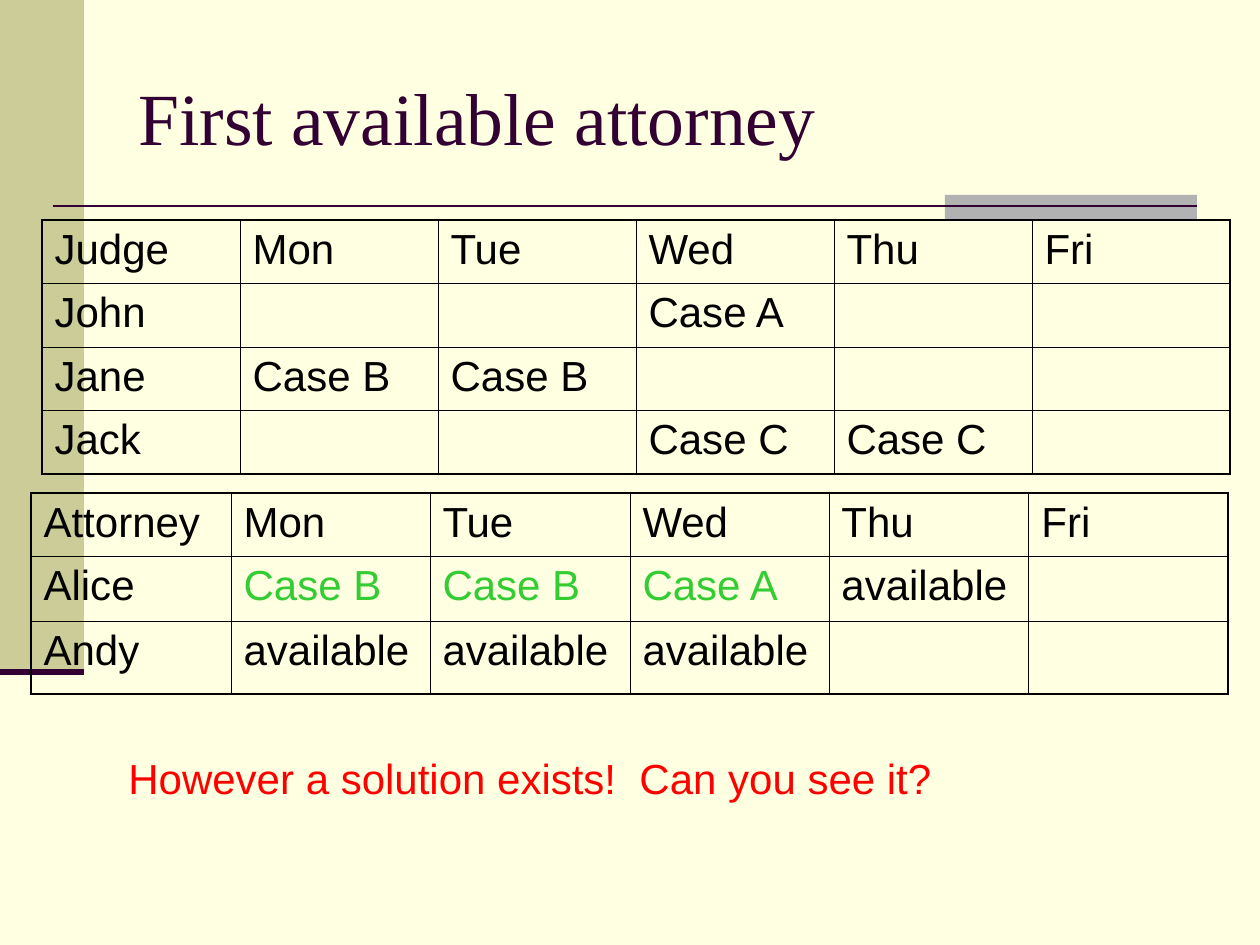
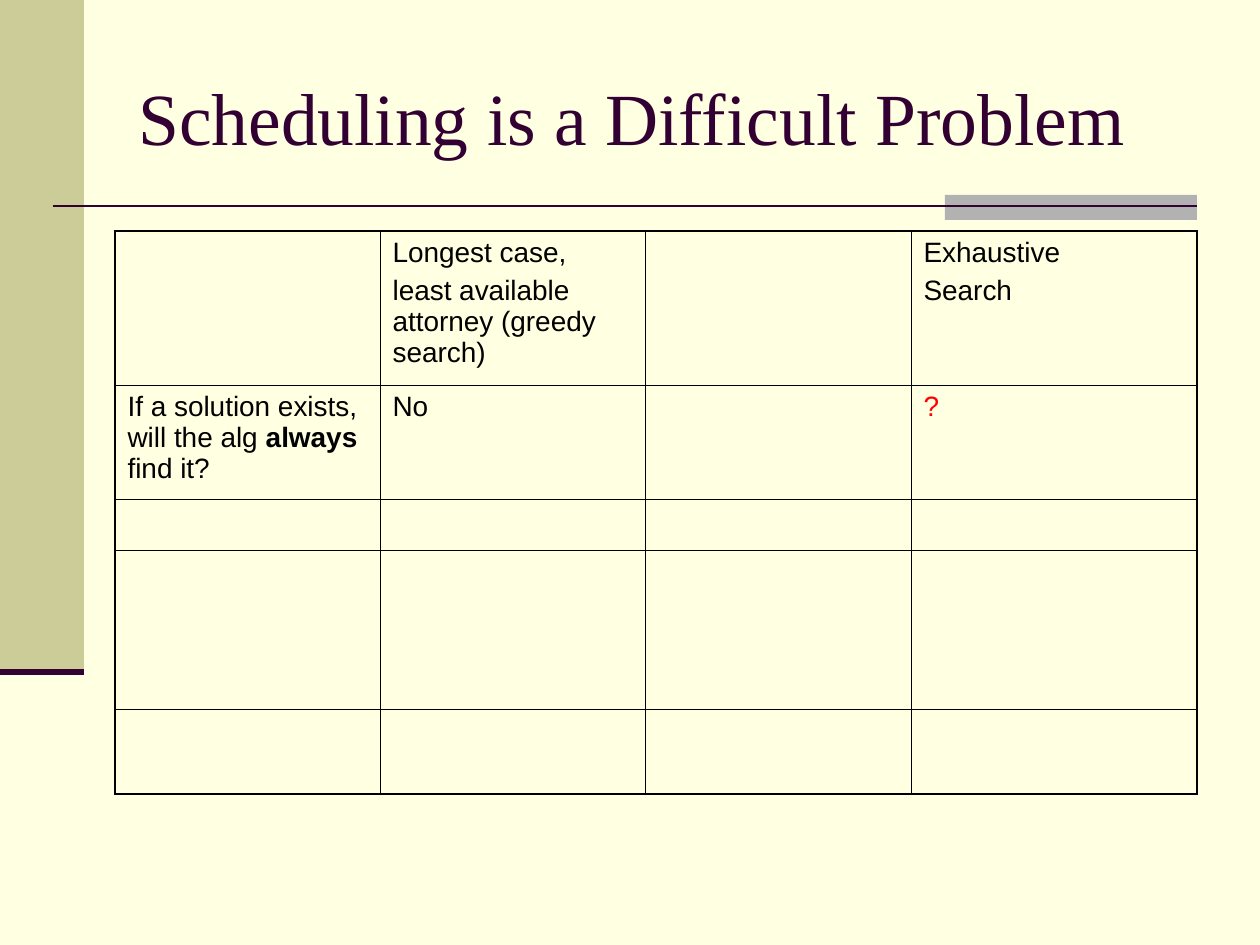
from lxml.etree import SubElement
from pptx import Presentation
from pptx.dml.color import RGBColor
from pptx.enum.shapes import MSO_CONNECTOR, MSO_SHAPE
from pptx.enum.text import MSO_ANCHOR
from pptx.oxml.ns import qn
from pptx.util import Pt

PLUM, OLIVE, GREY, CREAM = "330033", "CCCC99", "B2B2B2", "FFFFE1"
BLACK, GREEN, RED = "000000", "33CC33", "FF0000"
rgb = RGBColor.from_string


def px(length):
    return round(length * 914400 / 126)


def write(frame, text, size, color, font="Arial"):
    frame.word_wrap = True
    for index, line in enumerate(text.split("\n")):
        paragraph = frame.add_paragraph() if index else frame.paragraphs[0]
        paragraph.space_before = Pt(4 if index else 0)
        paragraph.font.name = font
        paragraph.font.size = Pt(size)
        paragraph.font.color.rgb = rgb(color)
        for position, part in enumerate(line.split("*")):
            if part:
                run = paragraph.add_run()
                run.text = part
                if position % 2:
                    run.font.bold = True


days = ["Mon", "Tue", "Wed", "Thu", "Fri"]
judges = dict(
    at=(42, 220), columns=[198] * 6, heights=[63, 64] * 2, size=24, colors={},
    rows=[
        ["Judge", *days],
        ["John", "", "", "Case A", "", ""],
        ["Jane", "Case B", "Case B", "", "", ""],
        ["Jack", "", "", "Case C", "Case C", ""],
    ],
)
attorneys = dict(
    at=(31, 493), columns=[200, 199] * 3, heights=[63, 65, 73], size=24,
    colors={(1, 1): GREEN, (1, 2): GREEN, (1, 3): GREEN},
    rows=[
        ["Attorney", *days],
        ["Alice", "Case B", "Case B", "Case A", "available", ""],
        ["Andy", "available", "available", "available", "", ""],
    ],
)
algorithms = dict(
    at=(115, 231), columns=[265, 265, 266, 286], heights=[154, 114, 51, 159, 85],
    size=16, colors={(1, 3): RED},
    rows=[
        ["", "Longest case,\nleast available attorney (greedy search)", "",
         "Exhaustive\nSearch"],
        ["If a solution exists, will the alg *always* find it?", "No", "", "?"],
        *[[""] * 4] * 3,
    ],
)
pages = [
    ("First available attorney", [judges, attorneys],
     "However a solution exists!  Can you see it?"),
    ("Scheduling is a Difficult Problem", [algorithms], ""),
]

prs = Presentation()
prs.slide_width, prs.slide_height = px(1260), px(945)

for title, schedules, question in pages:
    slide = prs.slides.add_slide(prs.slide_layouts[6])
    slide.background.fill.solid()
    slide.background.fill.fore_color.rgb = rgb(CREAM)

    for color, box in [(OLIVE, (0, 0, 84, 672)), (GREY, (945, 195, 252, 25))]:
        band = slide.shapes.add_shape(MSO_SHAPE.RECTANGLE, *map(px, box))
        band.shadow.inherit = False
        band.fill.solid()
        band.fill.fore_color.rgb = rgb(color)
        band.line.fill.background()

    for width, ends in [(1.5, (53, 206, 1197, 206)), (3.5, (0, 672, 84, 672))]:
        rule = slide.shapes.add_connector(MSO_CONNECTOR.STRAIGHT, *map(px, ends))
        rule.line.color.rgb = rgb(PLUM)
        rule.line.width = Pt(width)
        SubElement(rule._element.spPr, qn("a:effectLst"))

    heading = slide.shapes.add_textbox(px(126), px(38), px(1071), px(157)).text_frame
    heading.vertical_anchor = MSO_ANCHOR.MIDDLE
    write(heading, title, 42, PLUM, "Times New Roman")

    for schedule in schedules:
        rows, columns, heights = schedule["rows"], schedule["columns"], schedule["heights"]
        grid = slide.shapes.add_table(
            len(rows), len(columns), *map(px, schedule["at"]),
            px(sum(columns)), px(sum(heights))).table
        grid.first_row = grid.horz_banding = False
        for column, width in zip(grid.columns, columns):
            column.width = px(width)
        for row, height in zip(grid.rows, heights):
            row.height = px(height)
        for r, row in enumerate(rows):
            for c, text in enumerate(row):
                cell = grid.cell(r, c)
                write(cell.text_frame, text, schedule["size"],
                      schedule["colors"].get((r, c), BLACK))
                outer_sides = {"lnL": c == 0, "lnR": c == len(columns) - 1,
                               "lnT": r == 0, "lnB": r == len(rows) - 1}
                borders = cell._tc.get_or_add_tcPr()
                for side, outer in outer_sides.items():
                    border = SubElement(borders, qn("a:" + side),
                                        w=str(Pt(1.08 if outer else 0.45)))
                    ink = SubElement(border, qn("a:solidFill"))
                    SubElement(ink, qn("a:srgbClr"), val=BLACK)
                cell.fill.background()

    if question:
        prompt = slide.shapes.add_textbox(px(116), px(746), px(945), px(63))
        write(prompt.text_frame, question, 24, RED)

prs.save("out.pptx")
